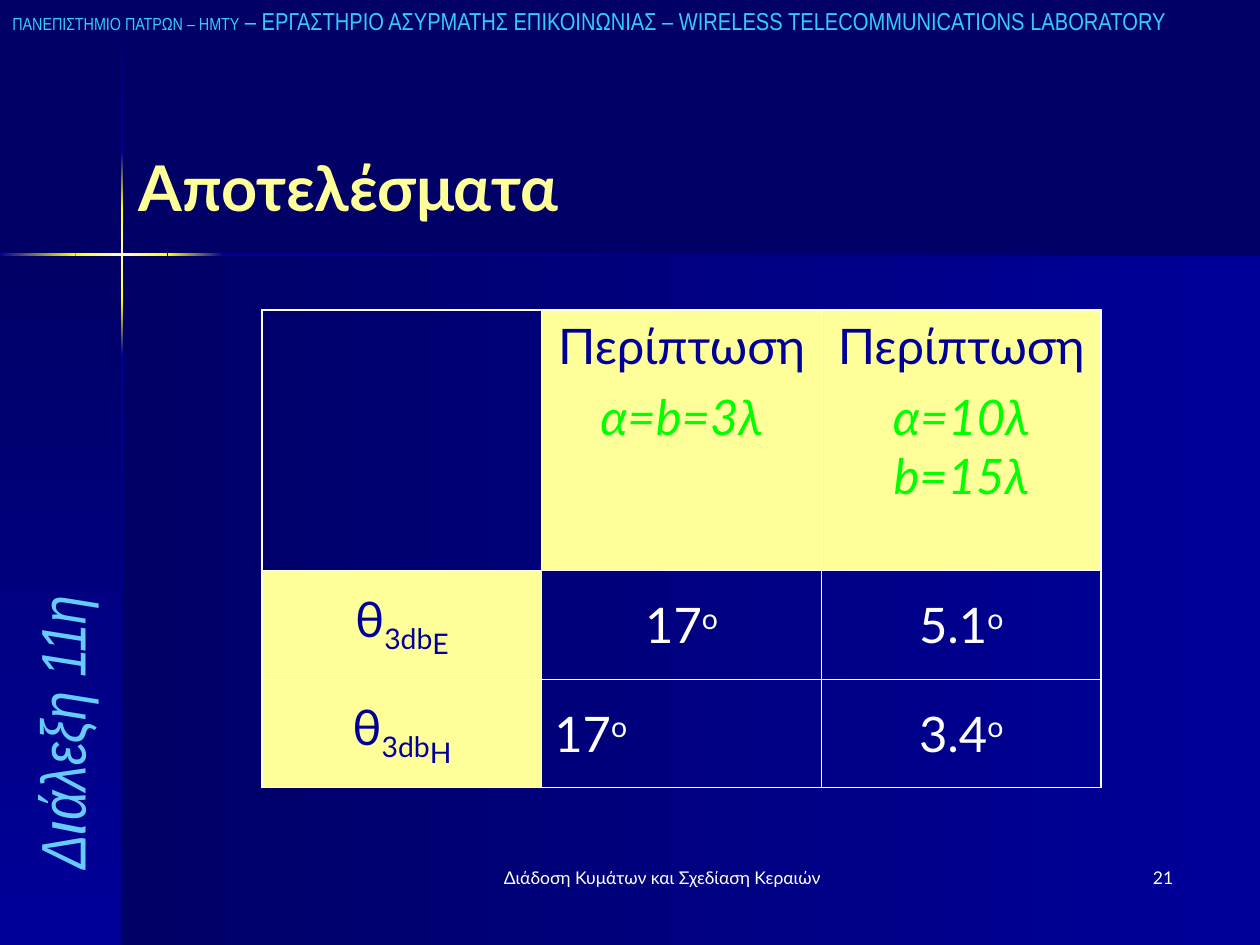
from dataclasses import dataclass

from lxml import etree
from pptx import Presentation
from pptx import util as u
from pptx.dml import color
from pptx.enum import shapes, text
from pptx.oxml import ns

PX = 9144
LEFT, CENTER, RIGHT = text.PP_ALIGN.LEFT, text.PP_ALIGN.CENTER, text.PP_ALIGN.RIGHT
TOP, MIDDLE, BOTTOM = (
    text.MSO_ANCHOR.TOP, text.MSO_ANCHOR.MIDDLE, text.MSO_ANCHOR.BOTTOM)


@dataclass
class Theme:
    dark: str = "000066"
    blue: str = "000099"
    yellow: str = "FFFF00"
    pale: str = "FFFFCC"
    cream: str = "FFFF99"
    white: str = "FFFFFF"
    green: str = "00FF00"
    sky: str = "66CCFF"
    cyan: str = "33CCFF"
    body: str = "Lato"
    narrow: str = "Arial Narrow"
    heading: int = 36
    cell: int = 28
    header: int = 14
    small: int = 10
    thick: float = 1.08
    thin: float = 0.45


class Deck:
    def __init__(self, theme, width, height):
        self.theme = theme
        self.presentation = Presentation()
        self.presentation.slide_width = width * PX
        self.presentation.slide_height = height * PX
        self.slide = None

    def add_slide(self):
        layout = self.presentation.slide_layouts.get_by_name("Title Only")
        self.slide = self.presentation.slides.add_slide(layout)
        fill = self.slide.background.fill
        fill.solid()
        fill.fore_color.rgb = color.RGBColor.from_string(self.theme.dark)

    def gradient_box(self, box, colors, angle):
        shape = self.slide.shapes.add_shape(
            shapes.MSO_SHAPE.RECTANGLE, *(n * PX for n in box))
        shape.shadow.inherit = False
        shape.line.fill.background()
        shape.fill.gradient()
        shape.fill.gradient_angle = (360 - angle) % 360
        stops = shape.element.spPr.find(".//" + ns.qn("a:gsLst"))
        for stop in list(stops):
            stops.remove(stop)
        for index, value in enumerate(colors):
            position = 100000 * index // (len(colors) - 1)
            stop = etree.SubElement(stops, ns.qn("a:gs"), pos=str(position))
            etree.SubElement(stop, ns.qn("a:srgbClr"), val=value)

    def add_runs(self, paragraph, runs, align=LEFT, **base):
        paragraph.alignment = align
        for words, changes in runs:
            style = {"name": self.theme.body, "bold": False, "italic": False,
                     **base, **changes}
            run = paragraph.add_run()
            run.text = words
            run.font.color.rgb = color.RGBColor.from_string(style.pop("color"))
            run.font.size = u.Pt(style.pop("size"))
            baseline = style.pop("baseline", 0)
            if baseline:
                run.font._element.set("baseline", str(baseline * 1000))
            for name, value in style.items():
                setattr(run.font, name, value)

    def place(self, shape, box, runs, anchor=TOP, rotation=0, **style):
        shape.left, shape.top, shape.width, shape.height = (n * PX for n in box)
        shape.rotation = rotation
        frame = shape.text_frame
        settings = {"word_wrap": True, "auto_size": text.MSO_AUTO_SIZE.NONE,
                    "vertical_anchor": anchor}
        for name, value in settings.items():
            setattr(frame, name, value)
        self.add_runs(frame.paragraphs[0], runs, **style)

    def title(self, box, words, **style):
        self.place(self.slide.shapes.title, box, [(words, {})], BOTTOM, **style)

    def text_box(self, box, runs, **style):
        shape = self.slide.shapes.add_textbox(0, 0, 0, 0)
        self.place(shape, box, runs, **style)

    def border(self, cell, sides):
        properties = cell._tc.get_or_add_tcPr()
        for index, (side, width) in enumerate(sides.items()):
            line = etree.Element(ns.qn("a:ln" + side), w=str(u.Pt(width)))
            fill = etree.SubElement(line, ns.qn("a:solidFill"))
            etree.SubElement(fill, ns.qn("a:srgbClr"), val=self.theme.white)
            properties.insert(index, line)

    def table(self, left, top, widths, heights, rows):
        theme = self.theme
        last_row, last_column = len(heights) - 1, len(widths) - 1
        table = self.slide.shapes.add_table(
            len(heights), len(widths), left * PX, top * PX,
            sum(widths) * PX, sum(heights) * PX).table
        table.first_row = table.horz_banding = False
        for column, width in zip(table.columns, widths):
            column.width = width * PX
        for row, height in zip(table.rows, heights):
            row.height = height * PX
        for r, row in enumerate(rows):
            for c, paragraphs in enumerate(row):
                cell = table.cell(r, c)
                cell.vertical_anchor = MIDDLE if r else TOP
                if (r == 0) != (c == 0):
                    cell.fill.solid()
                    cell.fill.fore_color.rgb = color.RGBColor.from_string(theme.cream)
                else:
                    cell.fill.background()
                outer = {"L": c == 0, "R": c == last_column,
                         "T": r == 0, "B": r == last_row}
                self.border(cell, {side: theme.thick if edge else theme.thin
                                   for side, edge in outer.items()})
                for index, (runs, align) in enumerate(paragraphs):
                    frame = cell.text_frame
                    paragraph = frame.add_paragraph() if index else frame.paragraphs[0]
                    if index:
                        paragraph.space_before = u.Pt(7)
                    self.add_runs(paragraph, runs, align, size=theme.cell,
                                  color=theme.white if r and c else theme.blue)


def main():
    theme = Theme()
    deck = Deck(theme, 1000, 750)
    deck.add_slide()

    fade = [theme.dark, theme.blue]
    glow = [theme.blue, theme.yellow]
    shine = [theme.yellow, theme.pale, theme.yellow]
    deck.gradient_box((97, 202, 903, 548), fade[::-1], 180)
    deck.gradient_box((0, 202, 97, 548), fade, 90)
    vertical = [(1, 121, fade), (121, 165, glow), (165, 238, shine),
                (238, 282, glow[::-1]), (282, 750, fade[::-1])]
    horizontal = [(0, 60, glow[::-1]), (60, 133, shine),
                  (133, 177, glow), (177, 1000, fade)]
    for start, end, colors in vertical:
        deck.gradient_box((96, start, 2, end - start), colors, 90)
    for start, end, colors in horizontal:
        deck.gradient_box((start, 201, end - start, 2), colors, 180)

    deck.text_box((-142, 475, 383, 67), [("Διάλεξη 11η", {})], anchor=BOTTOM,
                  rotation=270, name=theme.narrow, size=theme.heading,
                  color=theme.sky, italic=True)
    deck.title((100, 93, 900, 90), "Αποτελέσματα", size=theme.heading,
               color=theme.cream, bold=True)

    def case(values):
        return [([("Περίπτωση", {})], CENTER),
                ([(values, {"color": theme.green, "italic": True})], CENTER)]

    def beamwidth(plane):
        return [([("θ", {}), ("3db", {"baseline": -25}),
                  (plane, {"baseline": -36})], CENTER)]

    def degrees(value, align=CENTER):
        return [([(value, {}), ("o", {"baseline": 30})], align)]

    deck.table(208, 246, [222] * 3, [207, 86, 86], [
        [[], case("α=b=3λ"), case("α=10λ b=15λ")],
        [beamwidth("Ε"), degrees("17"), degrees("5.1")],
        [beamwidth("Η"), degrees("17", LEFT), degrees("3.4")],
    ])

    deck.text_box((0, 0, 1117, 33), [
        ("ΠΑΝΕΠΙΣΤΗΜΙΟ ΠΑΤΡΩΝ – ΗΜΤΥ", {"size": theme.small}),
        (" – ΕΡΓΑΣΤΗΡΙΟ ΑΣΥΡΜΑΤΗΣ ΕΠΙΚΟΙΝΩΝΙΑΣ – "
         "WIRELESS TELECOMMUNICATIONS LABORATORY", {"size": theme.header}),
    ], name=theme.narrow, color=theme.cyan)
    footer = {"size": theme.small, "color": theme.white}
    deck.text_box((367, 683, 317, 50),
                  [("Διάδοση Κυμάτων και Σχεδίαση Κεραιών", {})],
                  align=CENTER, **footer)
    deck.text_box((733, 683, 208, 50), [("21", {})], align=RIGHT, **footer)

    deck.presentation.save("out.pptx")


if __name__ == "__main__":
    main()
